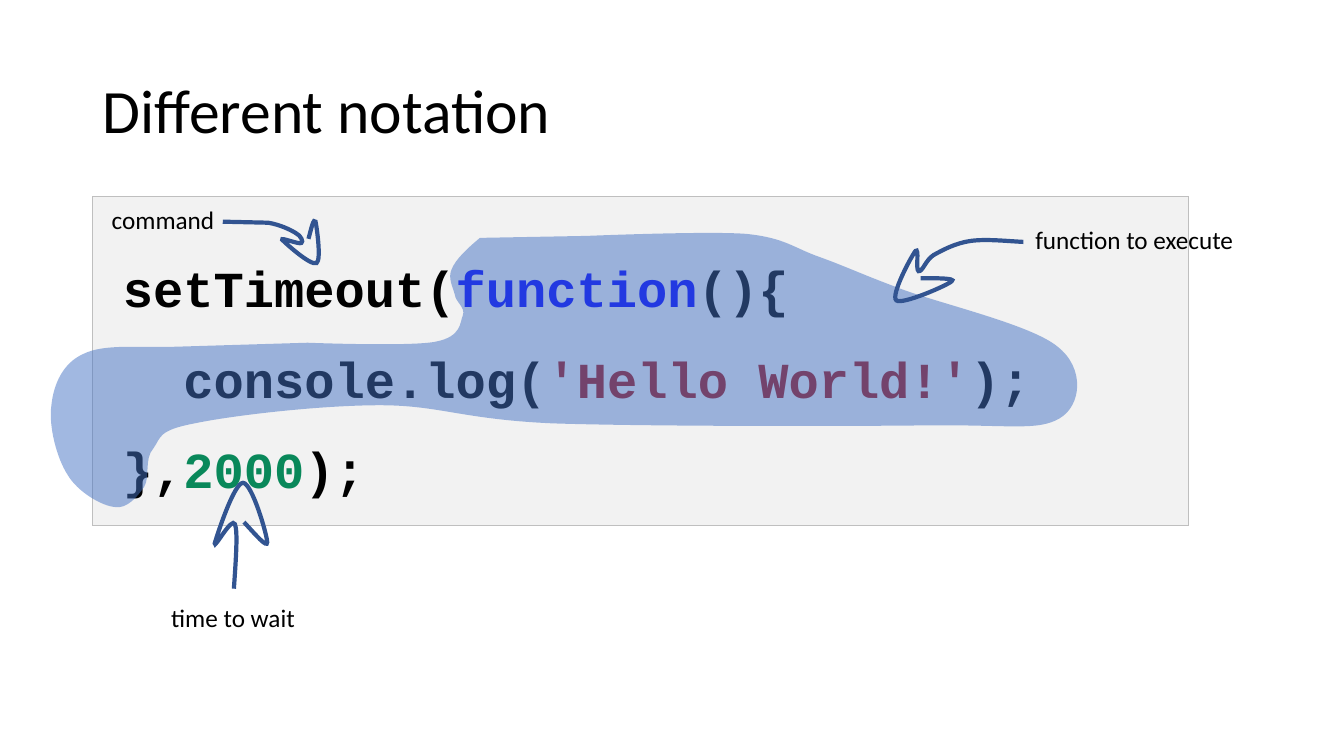
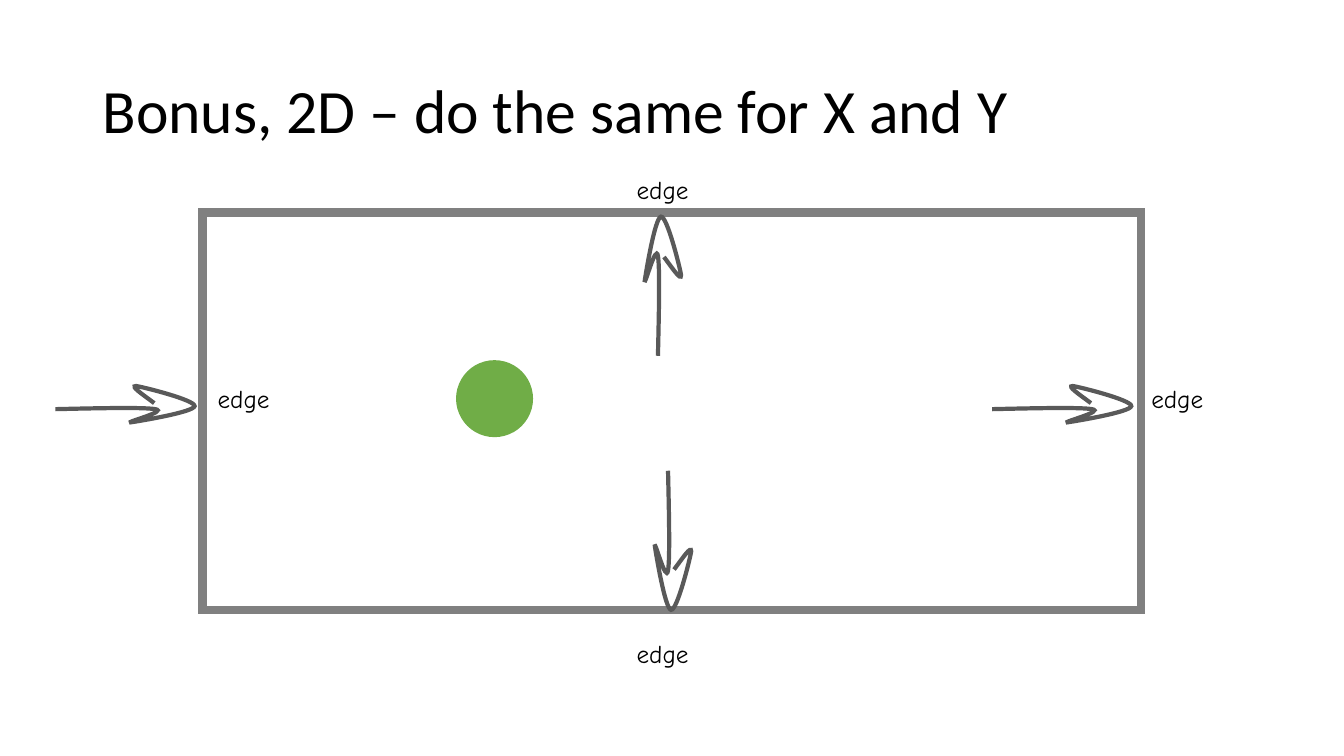
import pptx
import pptx.util
import pptx.dml.color
import pptx.enum.shapes
import pptx.enum.text
import pptx.oxml
import pptx.oxml.ns
import lxml.etree

Inches = pptx.util.Inches
Pt = pptx.util.Pt
SHAPE = pptx.enum.shapes.MSO_SHAPE
ANCHOR = pptx.enum.text.MSO_ANCHOR
ALIGN = pptx.enum.text.PP_ALIGN
AUTO_SIZE = pptx.enum.text.MSO_AUTO_SIZE

BLACK = "000000"
PANEL_FILL = "F2F2F2"
PANEL_EDGE = "BFBFBF"
KEYWORD = "0000FF"
STRING = "A31515"
NUMBER = "09885A"
HIGHLIGHT = "4472C4"
ANNOTATION = "325491"
BALL = "70AD47"
FIELD_EDGE = "808080"
MOTION = "595959"

BODY_FONT = "Calibri"
CODE_FONT = "Courier New"
HAND_FONT = "Comic Neue"
CURVE_STEPS = 12

CODE_LINES = [
    [("setTimeout(", BLACK), ("function", KEYWORD), ("(){", BLACK)],
    [("  console.log(", BLACK), ("'Hello World!'", STRING), (");", BLACK)],
    [("},", BLACK), ("2000", NUMBER), (");", BLACK)],
]

FUNCTION_OUTLINE = [
    (-0.12, 0.10, -0.24, 0.21, -0.28, 0.31),
    (-0.32, 0.40, -0.27, 0.48, -0.25, 0.56),
    (-0.24, 0.64, -0.14, 0.69, -0.17, 0.77),
    (-0.20, 0.84, -0.18, 0.98, -0.44, 1.03),
    (-0.69, 1.08, -1.71, 1.04, -1.71, 1.04),
    (-3.02, 1.08),
    (-3.39, 1.09, -3.73, 1.05, -3.93, 1.15),
    (-4.14, 1.24, -4.23, 1.46, -4.25, 1.66),
    (-4.28, 1.86, -4.20, 2.18, -4.09, 2.35),
    (-3.99, 2.52, -3.75, 2.66, -3.62, 2.67),
    (-3.50, 2.69, -3.40, 2.57, -3.33, 2.47),
    (-3.27, 2.37, -3.33, 2.19, -3.24, 2.09),
    (-3.16, 1.98, -3.20, 1.91, -2.83, 1.84),
    (-2.45, 1.76, -1.58, 1.66, -0.99, 1.66),
    (-0.40, 1.66, -0.18, 1.80, 0.72, 1.84),
    (1.62, 1.87, 3.58, 1.87, 4.41, 1.86),
    (5.25, 1.85, 5.53, 1.92, 5.75, 1.79),
    (5.97, 1.66, 6.00, 1.29, 5.73, 1.08),
    (5.47, 0.86, 4.55, 0.65, 4.16, 0.50),
    (3.76, 0.35, 3.62, 0.28, 3.37, 0.19),
    (3.11, 0.10, 3.03, 0, 2.64, -0.04),
    (2.26, -0.07, 1.06, -0.02, 1.06, -0.02),
    (0, 0),
]
EXECUTE_ARROW = [
    (-0.19, -0.01, -0.37, -0.03, -0.52, -0.01),
    (-0.67, 0.01, -0.80, 0.08, -0.89, 0.13),
    (-0.97, 0.18, -1.00, 0.30, -1.04, 0.29),
    (-1.07, 0.28, -1.03, 0.05, -1.07, 0.09),
    (-1.11, 0.14, -1.32, 0.53, -1.26, 0.58),
    (-1.21, 0.63, -0.75, 0.43, -0.71, 0.39),
    (-0.67, 0.36, -0.85, 0.36, -1.02, 0.36),
]
WAIT_ARROW = [
    (0.02, -0.29, 0.04, -0.57, 0.01, -0.64),
    (-0.02, -0.72, -0.20, -0.38, -0.19, -0.45),
    (-0.17, -0.52, 0, -1.05, 0.09, -1.05),
    (0.18, -1.05, 0.33, -0.53, 0.33, -0.46),
    (0.33, -0.40, 0.22, -0.53, 0.10, -0.66),
]
COMMAND_ARROW = [
    (0.45, 0.01),
    (0.57, 0.03, 0.67, 0.08, 0.72, 0.11),
    (0.78, 0.14, 0.80, 0.20, 0.78, 0.21),
    (0.76, 0.23, 0.57, 0.15, 0.59, 0.18),
    (0.62, 0.21, 0.87, 0.44, 0.93, 0.41),
    (0.98, 0.38, 0.93, 0.04, 0.92, 0),
    (0.90, -0.04, 0.88, 0.06, 0.85, 0.17),
]
MOTION_ARROW = [
    (0.43, -0.01, 0.87, -0.02, 0.99, 0),
    (1.12, 0.02, 0.69, 0.13, 0.75, 0.13),
    (0.82, 0.12, 1.37, 0.03, 1.38, -0.03),
    (1.39, -0.09, 0.87, -0.22, 0.80, -0.23),
    (0.74, -0.23, 0.86, -0.15, 0.98, -0.06),
]


def rgb(value):
    return pptx.dml.color.RGBColor.from_string(value)


def add_node(parent, tag, **attributes):
    return lxml.etree.SubElement(parent, pptx.oxml.ns.qn(tag), **attributes)


def paint(shape, fill=None, line=None, weight=1):
    shape.shadow.inherit = False
    if fill:
        shape.fill.solid()
        shape.fill.fore_color.rgb = rgb(fill)
    else:
        shape.fill.background()
    if line:
        shape.line.color.rgb = rgb(line)
        shape.line.width = Pt(weight)
        add_node(shape.line._get_or_add_ln(), "a:miter", lim="800000")
    else:
        shape.line.fill.background()


def style(run, size, font, color=BLACK, bold=False):
    run.font.size = Pt(size)
    run.font.name = font
    run.font.bold = bold
    run.font.color.rgb = rgb(color)


def add_preset(slide, kind, box, **paint_options):
    shape = slide.shapes.add_shape(kind, *map(Inches, box))
    paint(shape, **paint_options)
    return shape


def add_title(slide, wording):
    title = slide.shapes.add_textbox(*map(Inches, (0.92, 0.4, 11.5, 1.45)))
    frame = title.text_frame
    frame.word_wrap = True
    frame.vertical_anchor = ANCHOR.MIDDLE
    frame.text = wording
    frame.paragraphs[0].line_spacing = 0.9
    style(frame.paragraphs[0].runs[0], 44, BODY_FONT)


def add_label(slide, wording, left, top, width, font):
    label = slide.shapes.add_textbox(*map(Inches, (left, top, width, 0.4)))
    frame = label.text_frame
    frame.word_wrap = False
    frame.auto_size = AUTO_SIZE.SHAPE_TO_FIT_TEXT
    frame.text = wording
    style(frame.paragraphs[0].runs[0], 18, font)


def pairs(segment):
    return list(zip(segment[::2], segment[1::2]))


def points_along(segments):
    start = (0, 0)
    for segment in segments:
        nodes = [start] + pairs(segment)
        start = nodes[-1]
        if len(nodes) == 2:
            yield start
            continue
        for step in range(1, CURVE_STEPS + 1):
            t = step / CURVE_STEPS
            u = 1 - t
            weights = (u ** 3, 3 * u * u * t, 3 * u * t * t, t ** 3)
            yield tuple(
                sum(w * value for w, value in zip(weights, values))
                for values in zip(*nodes)
            )


def add_sketch(slide, left, top, segments, close=False, **paint_options):
    def place(point):
        return Inches(left + point[0]), Inches(top + point[1])

    builder = slide.shapes.build_freeform(*place((0, 0)))
    builder.add_line_segments(map(place, points_along(segments)), close=close)
    sketch = builder.convert_to_shape()
    outline = sketch._element.find(".//" + pptx.oxml.ns.qn("a:path"))
    for node in list(outline):
        outline.remove(node)

    def draw(tag, points):
        stroke = add_node(outline, tag)
        for x, y in map(place, points):
            add_node(stroke, "a:pt", x=str(x - sketch.left), y=str(y - sketch.top))

    draw("a:moveTo", [(0, 0)])
    for segment in segments:
        draw("a:lnTo" if len(segment) == 2 else "a:cubicBezTo", pairs(segment))
    if close:
        add_node(outline, "a:close")
    paint(sketch, **paint_options)
    return sketch


def add_code_panel(slide, left, top, width, height):
    panel = add_preset(slide, SHAPE.RECTANGLE, (left, top, width, height),
                       fill=PANEL_FILL, line=PANEL_EDGE, weight=0.75)
    frame = panel.text_frame
    frame.word_wrap = True
    frame.auto_size = AUTO_SIZE.SHAPE_TO_FIT_TEXT
    frame.vertical_anchor = ANCHOR.TOP
    frame.margin_left = frame.margin_top = frame.margin_bottom = Inches(0.3)
    frame.margin_right = Inches(0.1)
    for index, pieces in enumerate(CODE_LINES):
        paragraph = frame.paragraphs[0] if index == 0 else frame.add_paragraph()
        paragraph.alignment = ALIGN.LEFT
        paragraph.line_spacing = 1.5
        for wording, color in pieces:
            run = paragraph.add_run()
            run.text = wording
            style(run, 36, CODE_FONT, color, bold=True)


def add_code_notes(slide, left, top):
    highlight = add_sketch(slide, left + 3.84, top + 0.41, FUNCTION_OUTLINE,
                           close=True, fill=HIGHLIGHT)
    tint = highlight._element.spPr.find(".//" + pptx.oxml.ns.qn("a:srgbClr"))
    add_node(tint, "a:alpha", val="50000")

    notes = [
        ("function to execute", 9.25, 0.23, 2.19, EXECUTE_ARROW, 9.23, 0.45),
        ("time to wait", 0.68, 3.98, 1.44, WAIT_ARROW, 1.4, 3.89),
        ("command", 0.09, 0.03, 1.23, COMMAND_ARROW, 1.29, 0.25),
    ]
    for wording, label_x, label_y, width, arrow, arrow_x, arrow_y in notes:
        add_sketch(slide, left + arrow_x, top + arrow_y, arrow,
                   line=ANNOTATION, weight=3)
        add_label(slide, wording, left + label_x, top + label_y, width, BODY_FONT)


def add_field(slide, left, top, width, height):
    add_preset(slide, SHAPE.OVAL, (left + 2.52, top + 1.47, 0.75, 0.75),
               fill=BALL, line=BALL)
    add_preset(slide, SHAPE.RECTANGLE, (left, top, width, height),
               line=FIELD_EDGE, weight=6)
    middle = left + width / 2
    label_x = middle - 0.45
    edges = [
        (left + width, top + 1.64, left + width - 1.48, top + 1.95, 0),
        (left + 0.05, top + 1.64, left - 1.46, top + 1.95, 0),
        (label_x, top + height + 0.23, middle - 0.68, top + height - 0.64, 90),
        (label_x, top - 0.43, middle - 0.78, top + 0.78, 270),
    ]
    for label_left, label_top, arrow_x, arrow_y, turn in edges:
        arrow = add_sketch(slide, arrow_x, arrow_y, MOTION_ARROW,
                           line=MOTION, weight=3)
        arrow.rotation = turn
        if turn == 270:
            arrow._element.spPr.xfrm.set("flipV", "1")
        add_label(slide, "edge", label_left, label_top, 0.89, HAND_FONT)


def add_titled_slide(deck, wording):
    slide = deck.slides.add_slide(deck.slide_layouts[6])
    add_title(slide, wording)
    return slide


def main():
    deck = pptx.Presentation()
    deck.slide_width = Inches(13.33)
    deck.slide_height = Inches(7.5)

    notation = add_titled_slide(deck, "Different notation")
    add_code_panel(notation, 0.92, 1.95, 10.87, 3.26)
    add_code_notes(notation, 0.92, 1.95)

    bonus = add_titled_slide(deck, "Bonus, 2D – do the same for X and Y")
    add_field(bonus, 2.01, 2.11, 9.31, 3.94)

    deck.save("out.pptx")


if __name__ == "__main__":
    main()
